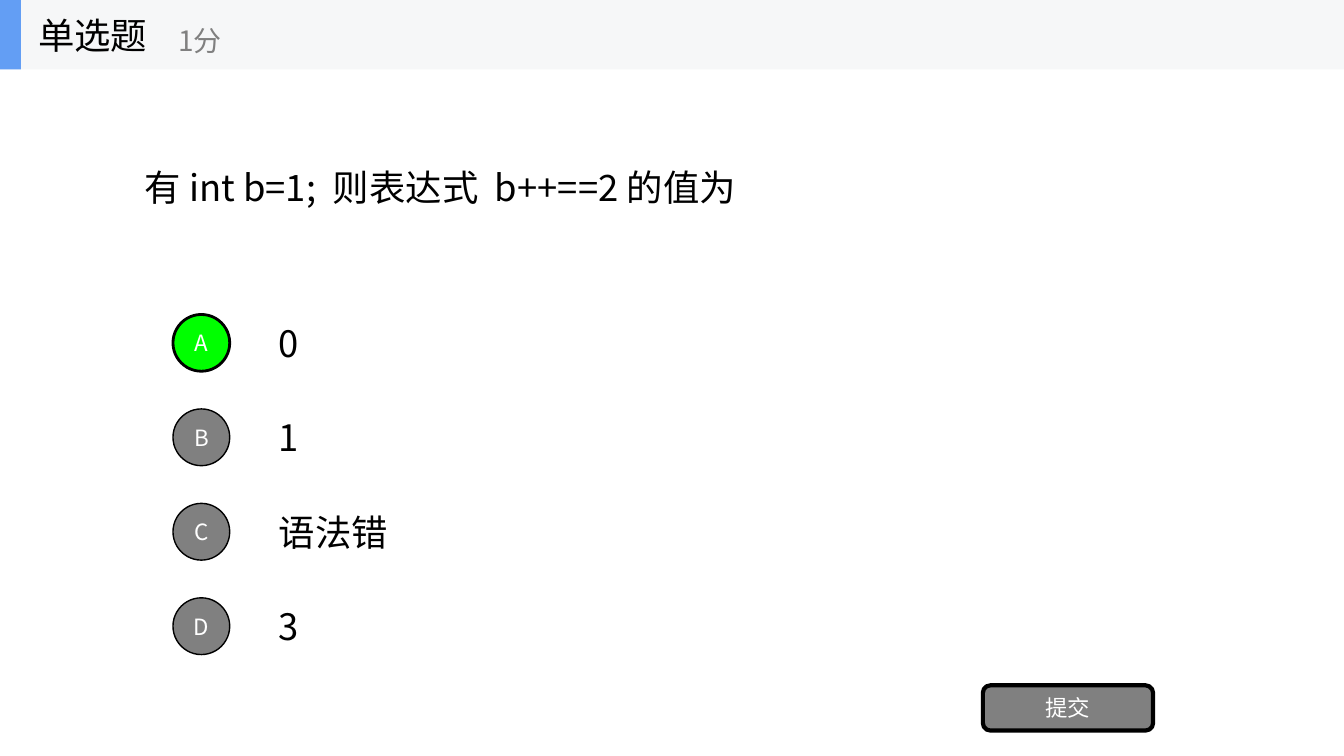
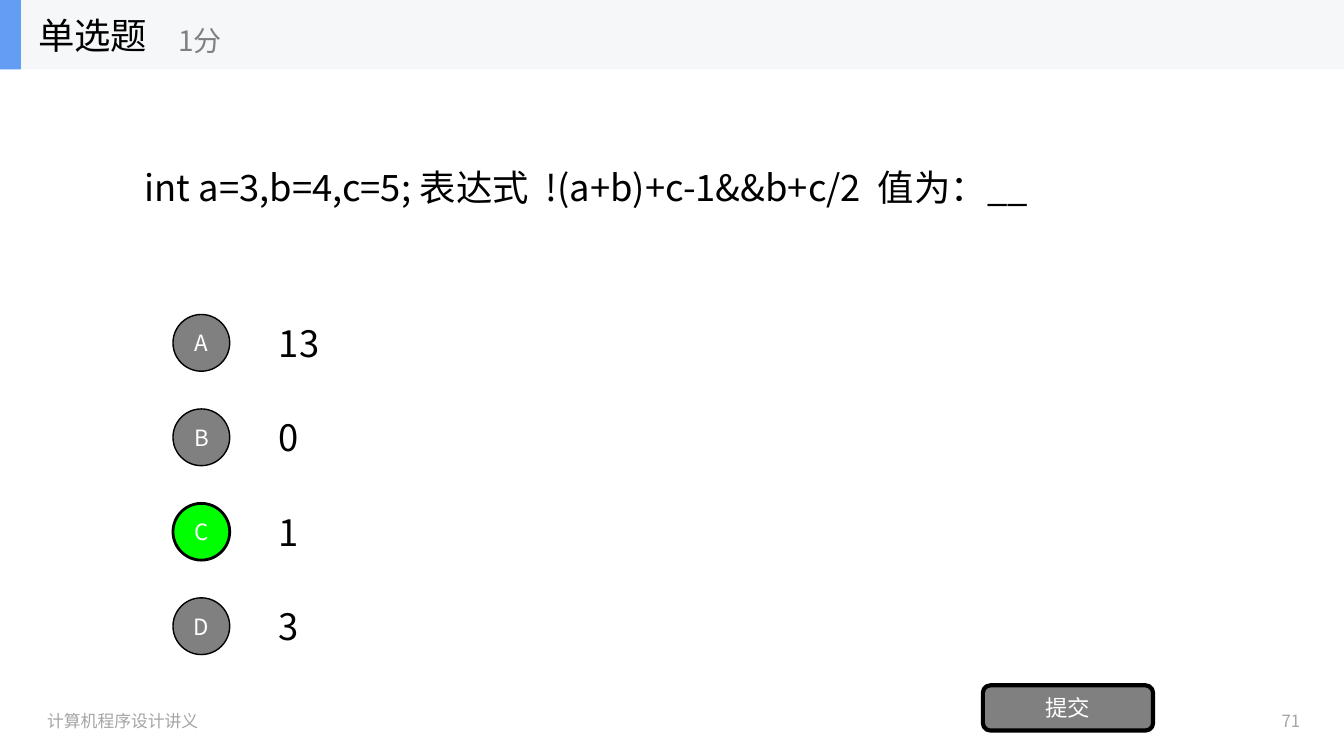
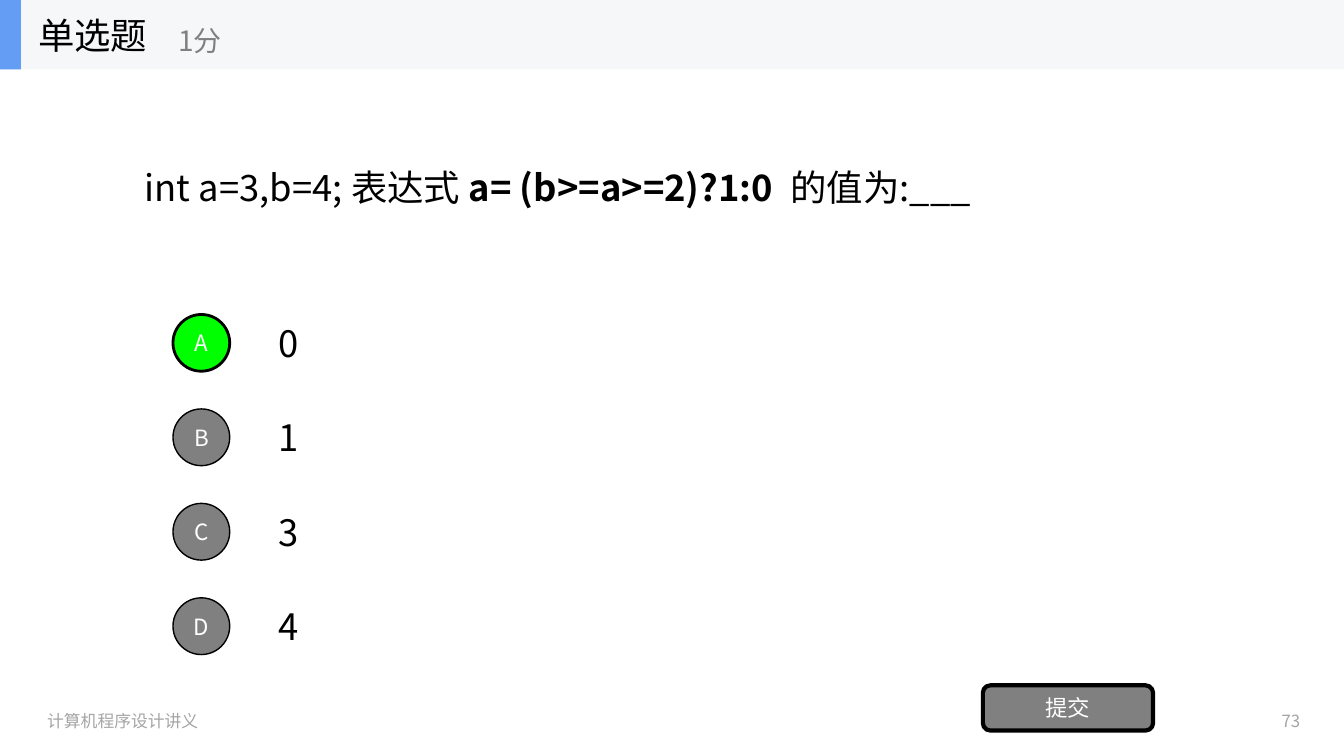
from dataclasses import dataclass

from lxml.etree import SubElement
from pptx import Presentation
from pptx.dml.color import RGBColor
from pptx.enum.shapes import MSO_SHAPE
from pptx.enum.text import MSO_ANCHOR, MSO_AUTO_SIZE, PP_ALIGN
from pptx.oxml.ns import qn
from pptx.util import Cm, Pt


@dataclass(frozen=True)
class Theme:
    font: str = "Noto Sans CJK SC"
    black: RGBColor = RGBColor(0x00, 0x00, 0x00)
    white: RGBColor = RGBColor(0xFF, 0xFF, 0xFF)
    gray: RGBColor = RGBColor(0x80, 0x80, 0x80)
    footer: RGBColor = RGBColor(0xA5, 0xA5, 0xA5)
    band: RGBColor = RGBColor(0xF6, 0xF7, 0xF8)
    accent: RGBColor = RGBColor(0x63, 0x9E, 0xF4)
    correct: RGBColor = RGBColor(0x00, 0xFF, 0x00)
    body_size: int = 26
    points_size: int = 20
    button_size: int = 16
    footer_size: int = 12


@dataclass(frozen=True)
class Box:
    left: float
    top: float
    width: float
    height: float

    def inner(self, left, top, width, height):
        return Box(self.left + left, self.top + top, width, height)

    def lengths(self):
        return Cm(self.left), Cm(self.top), Cm(self.width), Cm(self.height)


@dataclass(frozen=True)
class Question:
    runs: tuple
    options: tuple
    correct: str
    number: str = ""


THEME = Theme()
PAGE = Box(0, 0, 33.87, 19.05)
HEADER = Box(0, 0, PAGE.width, 1.75)
QUESTION = Box(3.39, 1.75, 27.1, 5.94)
OPTIONS = Box(4.36, 7.75, 26.12, 8.92)
SUBMIT = Box(24.77, 17.27, 4.29, 1.14)
FOOTER = Box(0.94, 17.65, 32.08, 1.02)

QUESTIONS = (
    Question(
        (("有 int b=1;  则表达式  b++==2 的值为", False),),
        ("0", "1", "语法错", "3"),
        "A",
    ),
    Question(
        (("int a=3,b=4,c=5; 表达式  !(a+b)+c-1&&b+c/2  值为：__", False),),
        ("13", "0", "1", "3"),
        "C",
        "71",
    ),
    Question(
        (
            ("int a=3,b=4; 表达式 ", False),
            ("a= (b>=a>=2)?1:0  ", True),
            ("的值为:___", False),
        ),
        ("0", "1", "3", "4"),
        "A",
        "73",
    ),
)


def write_text(shape, runs, size, color, alignment=PP_ALIGN.LEFT):
    frame = shape.text_frame
    frame.word_wrap = True
    frame.auto_size = MSO_AUTO_SIZE.NONE
    frame.vertical_anchor = MSO_ANCHOR.MIDDLE
    paragraph = frame.paragraphs[0]
    paragraph.alignment = alignment
    paragraph.font.size = Pt(size)
    paragraph.font.name = THEME.font
    paragraph.font.color.rgb = color
    properties = paragraph._p.get_or_add_pPr().get_or_add_defRPr()
    SubElement(properties, qn("a:ea"), typeface=THEME.font)
    for text, bold in runs:
        run = paragraph.add_run()
        run.text = text
        if bold:
            run.font.bold = True


def add_label(shapes, box, text, size, color, alignment=PP_ALIGN.LEFT):
    label = shapes.add_textbox(*box.lengths())
    write_text(label, ((text, False),), size, color, alignment)


def add_filled(shapes, preset, box, fill, line_width=0):
    shape = shapes.add_shape(preset, *box.lengths())
    shape.shadow.inherit = False
    shape.fill.solid()
    shape.fill.fore_color.rgb = fill
    if line_width:
        shape.line.color.rgb = THEME.black
        shape.line.width = Pt(line_width)
    else:
        shape.line.fill.background()
    return shape


def add_button(shapes, preset, box, text, fill, line_width):
    button = add_filled(shapes, preset, box, fill, line_width)
    frame = button.text_frame
    frame.margin_left = frame.margin_right = 0
    frame.margin_top = frame.margin_bottom = 0
    write_text(button, ((text, False),), THEME.button_size, THEME.white, PP_ALIGN.CENTER)


def add_header(slide, box):
    shapes = slide.shapes.add_group_shape().shapes
    add_filled(shapes, MSO_SHAPE.RECTANGLE, box, THEME.band)
    add_filled(shapes, MSO_SHAPE.RECTANGLE, box.inner(0, 0, 0.53, box.height), THEME.accent)
    add_label(shapes, box.inner(0.71, 0, 5.28, box.height), "单选题", THEME.body_size, THEME.black)
    add_label(shapes, box.inner(4.24, 0.3, 6.35, 1.42), "1分", THEME.points_size, THEME.gray)


def place_question(slide, box, runs):
    title = slide.shapes.title
    title.left, title.top, title.width, title.height = box.lengths()
    write_text(title, runs, THEME.body_size, THEME.black)


def add_options(slide, box, options, correct):
    row_height, bubble_size, text_offset = 1.78, 1.43, 2.42
    pitch = (box.height - row_height) / (len(options) - 1)
    bubble_offset = (row_height - bubble_size) / 2
    for index, (letter, text) in enumerate(zip("ABCD", options)):
        top = index * pitch
        text_box = box.inner(text_offset, top, box.width - text_offset, row_height)
        bubble_box = box.inner(0, top + bubble_offset, bubble_size, bubble_size)
        fill, line_width = (THEME.correct, 2) if letter == correct else (THEME.gray, 1)
        add_label(slide.shapes, text_box, text, THEME.body_size, THEME.black)
        add_button(slide.shapes, MSO_SHAPE.OVAL, bubble_box, letter, fill, line_width)


def add_footer(slide, box, number):
    number_width = 2.06
    number_box = box.inner(box.width - number_width, 0, number_width, box.height)
    add_label(slide.shapes, box.inner(0, 0, 11.43, box.height), "计算机程序设计讲义",
              THEME.footer_size, THEME.footer)
    add_label(slide.shapes, number_box, number, THEME.footer_size, THEME.footer, PP_ALIGN.RIGHT)


def add_question_slide(presentation, question):
    slide = presentation.slides.add_slide(presentation.slide_layouts.get_by_name("Title Only"))
    if question.number:
        add_footer(slide, FOOTER, question.number)
    place_question(slide, QUESTION, question.runs)
    add_options(slide, OPTIONS, question.options, question.correct)
    add_button(slide.shapes, MSO_SHAPE.ROUNDED_RECTANGLE, SUBMIT, "提交", THEME.gray, 3)
    add_header(slide, HEADER)


def main():
    presentation = Presentation()
    presentation.slide_width = Cm(PAGE.width)
    presentation.slide_height = Cm(PAGE.height)
    for question in QUESTIONS:
        add_question_slide(presentation, question)
    presentation.save("out.pptx")


if __name__ == "__main__":
    main()
